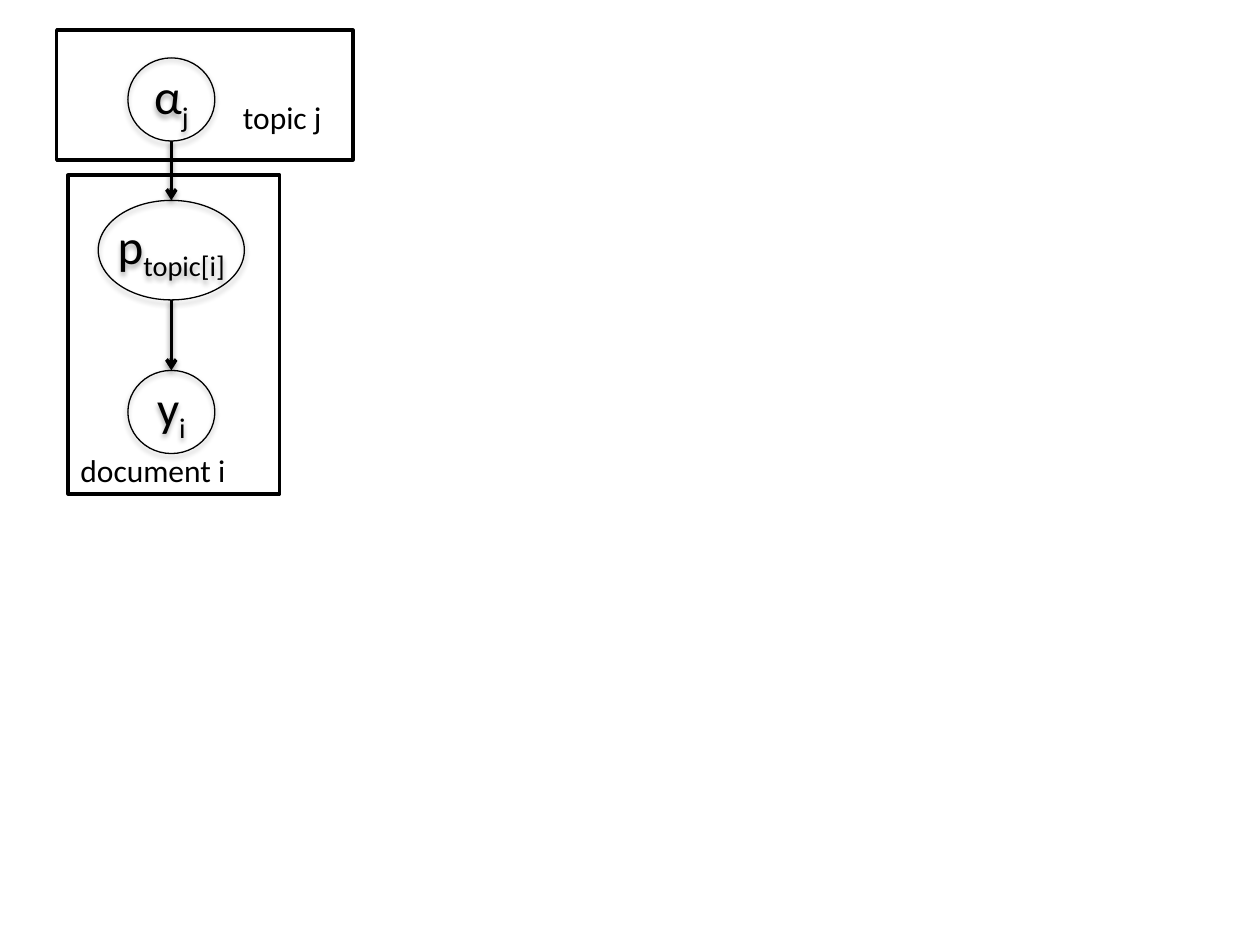
from dataclasses import dataclass

from lxml.etree import SubElement
from pptx import Presentation
from pptx.dml.color import RGBColor
from pptx.enum.shapes import MSO_CONNECTOR as Connector, MSO_SHAPE as Shape
from pptx.enum.text import MSO_ANCHOR as Anchor, MSO_AUTO_SIZE as AutoSize, PP_ALIGN as Align
from pptx.oxml.ns import qn
from pptx.util import Inches, Pt


@dataclass(frozen=True)
class Theme:
    """Colours, type sizes and line widths."""
    ink: RGBColor = RGBColor(0, 0, 0)
    paper: RGBColor = RGBColor(255, 255, 255)
    font: str = "Calibri"
    symbol: Pt = Pt(28)
    label: Pt = Pt(18)
    thick: Pt = Pt(2)
    thin: Pt = Pt(0.75)
    shadow_blur: Pt = Pt(3.1)


THEME = Theme()
AXIS = 1.36  # shared vertical axis of the nodes

# left, top, width, height
PLATES = [(0.45, 0.24, 2.35, 1.03), (0.54, 1.39, 1.68, 2.53)]
# symbol, subscript, top, width, height, line spacing
NODES = [
    ("α", "j", 0.46, 0.69, 0.66, 1.0),
    ("p", "topic[i]", 1.59, 1.16, 0.79, 0.7),
    ("y", "i", 2.94, 0.69, 0.66, 0.7),
]
# text, left, top, width
LABELS = [("topic j", 1.83, 0.73, 1.15), ("document i", 0.54, 3.53, 1.86)]


def style_text(para, size):
    """Set the font of a paragraph."""
    para.font.name = THEME.font
    para.font.size = size
    para.font.color.rgb = THEME.ink


def style_line(line, width):
    """Set an outline to ink of the given width."""
    line.color.rgb = THEME.ink
    line.width = width


def add_shadow(effects, distance, opacity):
    """Add a soft shadow that falls straight down."""
    shadow = SubElement(effects, qn("a:outerShdw"), blurRad=str(THEME.shadow_blur),
                        dist=str(distance), dir="5400000", rotWithShape="0")
    color = SubElement(shadow, qn("a:srgbClr"), val=str(THEME.ink))
    SubElement(color, qn("a:alpha"), val=str(opacity * 1000))


def add_plate(page, left, top, width, height):
    """Draw a plate that frames repeated nodes."""
    plate = page.shapes.add_shape(Shape.RECTANGLE, *map(Inches, (left, top, width, height)))
    plate.shadow.inherit = False
    plate.fill.solid()
    plate.fill.fore_color.rgb = THEME.paper
    style_line(plate.line, THEME.thick)


def add_node(page, symbol, subscript, top, width, height, spacing):
    """Draw a variable node centred on the axis."""
    box = (AXIS - width / 2, top, width, height)
    node = page.shapes.add_shape(Shape.OVAL, *map(Inches, box))
    node.fill.background()
    style_line(node.line, THEME.thin)
    node.shadow.inherit = False
    add_shadow(node.element.spPr.find(qn("a:effectLst")), Pt(1.8), 35)
    frame = node.text_frame
    frame.margin_left = frame.margin_right = 0
    frame.word_wrap = False
    frame.vertical_anchor = Anchor.MIDDLE
    para = frame.paragraphs[0]
    para.alignment = Align.CENTER
    para.line_spacing = spacing
    style_text(para, THEME.symbol)
    para.add_run().text = symbol
    span = para.add_run()
    span.text = subscript
    span.font.element.set("baseline", "-25000") if hasattr(span.font, "element") \
        else span._r.get_or_add_rPr().set("baseline", "-25000")


def add_label(page, text, left, top, width):
    """Write the caption of a plate."""
    box = page.shapes.add_textbox(*map(Inches, (left, top, width, 0.4)))
    frame = box.text_frame
    frame.word_wrap = True
    frame.auto_size = AutoSize.SHAPE_TO_FIT_TEXT
    para = frame.paragraphs[0]
    para.text = text
    style_text(para, THEME.label)


def add_arrow(page, start, end):
    """Draw an arrow down the axis."""
    arrow = page.shapes.add_connector(Connector.STRAIGHT, *map(Inches, (AXIS, start, AXIS, end)))
    style_line(arrow.line, THEME.thick)
    properties = arrow.element.spPr
    SubElement(properties.find(qn("a:ln")), qn("a:tailEnd"), type="arrow")
    add_shadow(SubElement(properties, qn("a:effectLst")), Pt(1.6), 38)


def main():
    """Build the plate diagram."""
    deck = Presentation()
    deck.slide_width, deck.slide_height = Inches(10), Inches(7.5)
    page = deck.slides.add_slide(deck.slide_layouts[6])
    for plate in PLATES:
        add_plate(page, *plate)
    for node in NODES:
        add_node(page, *node)
    for label in LABELS:
        add_label(page, *label)
    for (_, _, top, _, height, _), below in zip(NODES, NODES[1:]):
        add_arrow(page, top + height, below[2])
    deck.save("out.pptx")


main()
